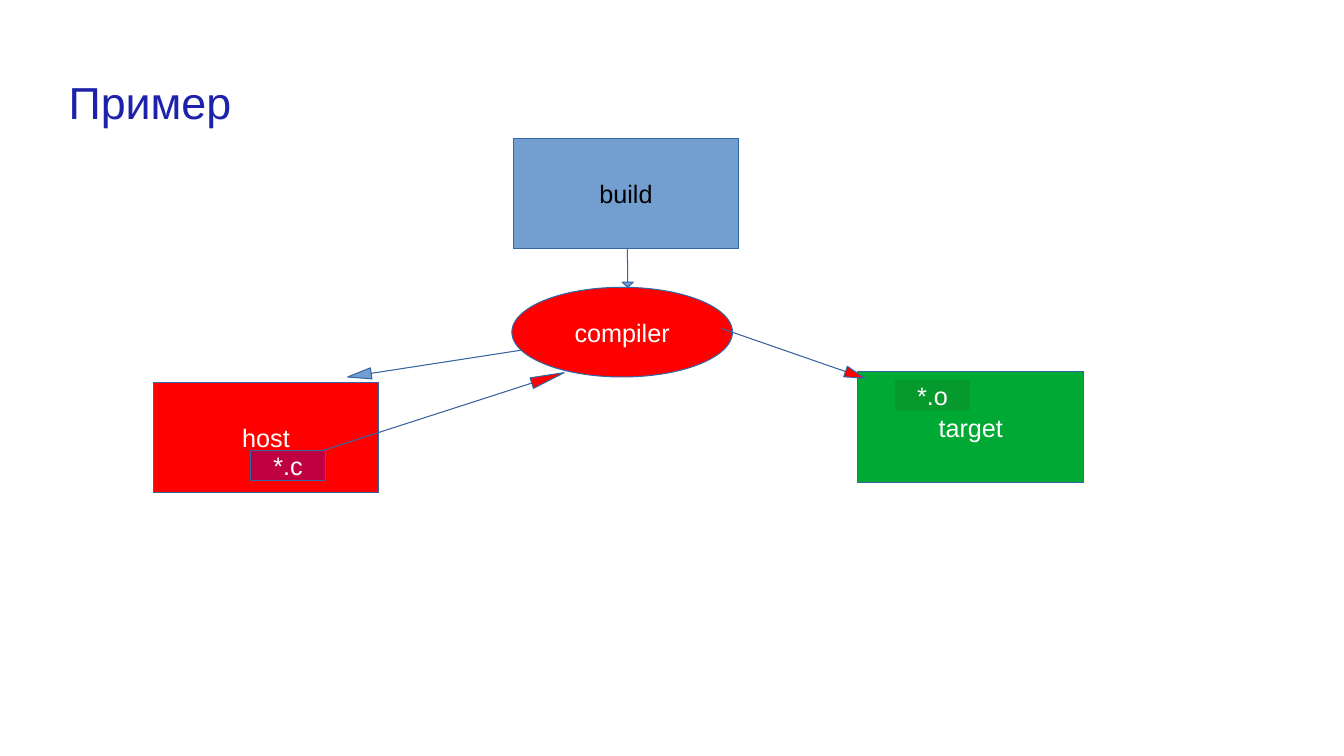
import math
from dataclasses import dataclass

from pptx import Presentation
from pptx.dml.color import RGBColor
from pptx.enum import shapes, text
from pptx.util import Cm, Pt


@dataclass(frozen=True)
class Theme:
    font: str = "Arial"
    title_size: int = 32
    label_size: int = 18
    title: str = "1E22AA"
    outline: str = "3465A4"
    blue: str = "729FCF"
    red: str = "FF0000"
    green: str = "00A933"
    crimson: str = "BF0041"
    dark_green: str = "069A2E"
    black: str = "000000"
    white: str = "FFFFFF"


THEME = Theme()
MACHINE_SIZE = (5.69, 2.79)
COMPILER_SIZE = (5.56, 2.26)
FILE_SIZE = (1.88, 0.76)
ARROW_THICKNESS = 0.28


def apply(target, values):
    for name, value in values.items():
        setattr(target, name, value)


def write(frame, words, size, color, paragraph_format, frame_format):
    apply(frame, {"word_wrap": True, **frame_format})
    paragraph = frame.paragraphs[0]
    apply(paragraph, paragraph_format)
    run = paragraph.add_run()
    run.text = words
    apply(run.font, {"name": THEME.font, "size": Pt(size)})
    run.font.color.rgb = RGBColor.from_string(color)


def add_outlined(slide, kind, box, fill, outlined=True):
    outline = slide.shapes.add_shape(kind, *map(Cm, box))
    outline.shadow.inherit = False
    outline.fill.solid()
    outline.fill.fore_color.rgb = RGBColor.from_string(fill)
    if outlined:
        outline.line.color.rgb = RGBColor.from_string(THEME.outline)
        outline.line.width = Pt(0)
    else:
        outline.line.fill.background()
    return outline


def add_node(slide, box, words, fill, color=THEME.white,
             kind=shapes.MSO_SHAPE.RECTANGLE, outlined=True):
    node = add_outlined(slide, kind, box, fill, outlined)
    write(node.text_frame, words, THEME.label_size, color,
          {"alignment": text.PP_ALIGN.CENTER},
          {"vertical_anchor": text.MSO_ANCHOR.MIDDLE})


def add_arrow(slide, start, end, head, fill):
    dx, dy = end[0] - start[0], end[1] - start[1]
    length = math.hypot(dx, dy)
    left = (start[0] + end[0] - length) / 2
    top = (start[1] + end[1] - ARROW_THICKNESS) / 2
    arrow = add_outlined(slide, shapes.MSO_SHAPE.RIGHT_ARROW,
                         (left, top, length, ARROW_THICKNESS), fill)
    arrow.adjustments[0] = 0
    arrow.adjustments[1] = head / ARROW_THICKNESS
    arrow.rotation = math.degrees(math.atan2(dy, dx))


def add_title(slide, box):
    heading = slide.shapes.add_textbox(*map(Cm, box))
    write(heading.text_frame, "Пример", THEME.title_size, THEME.title,
          {"line_spacing": 0.85, "alignment": text.PP_ALIGN.LEFT},
          {"vertical_anchor": text.MSO_ANCHOR.MIDDLE, "margin_left": 0,
           "margin_top": Cm(0.1), "margin_right": Cm(0.1),
           "margin_bottom": Cm(0.1)})


def add_diagram(slide, origin):
    def at(x, y):
        return origin[0] + x, origin[1] + y

    build, host, target = at(9.07, 0), at(0, 6.15), at(17.76, 5.89)
    compiler = at(9.04, 3.76)
    source_file = host[0] + 2.46, host[1] + 1.72
    object_file = target[0] + 0.94, target[1] + 0.21

    for corner, words, fill, color in (
        (build, "build", THEME.blue, THEME.black),
        (host, "host", THEME.red, THEME.white),
        (target, "target", THEME.green, THEME.white),
    ):
        add_node(slide, corner + MACHINE_SIZE, words, fill, color)
    add_node(slide, compiler + COMPILER_SIZE, "compiler", THEME.red,
             kind=shapes.MSO_SHAPE.OVAL)

    add_arrow(slide, at(11.95, 2.77), at(11.96, 3.76), 0.13, THEME.blue)
    add_arrow(slide, at(9.3, 5.34), at(4.9, 6.02), 0.6, THEME.blue)
    add_node(slide, source_file + FILE_SIZE, "*.c", THEME.crimson)
    add_arrow(slide, at(4.25, 7.88), at(10.36, 5.91), 0.86, THEME.red)
    add_arrow(slide, at(14.33, 4.8), at(17.93, 6.05), 0.51, THEME.red)
    add_node(slide, object_file + FILE_SIZE, "*.o", THEME.dark_green,
             outlined=False)


def main():
    deck = Presentation()
    apply(deck, {"slide_width": Cm(33.87), "slide_height": Cm(19.05)})
    slide = deck.slides.add_slide(deck.slide_layouts[6])
    add_title(slide, (1.73, 1.85, 26.14, 1.63))
    add_diagram(slide, (3.86, 3.48))
    deck.save("out.pptx")


if __name__ == "__main__":
    main()
